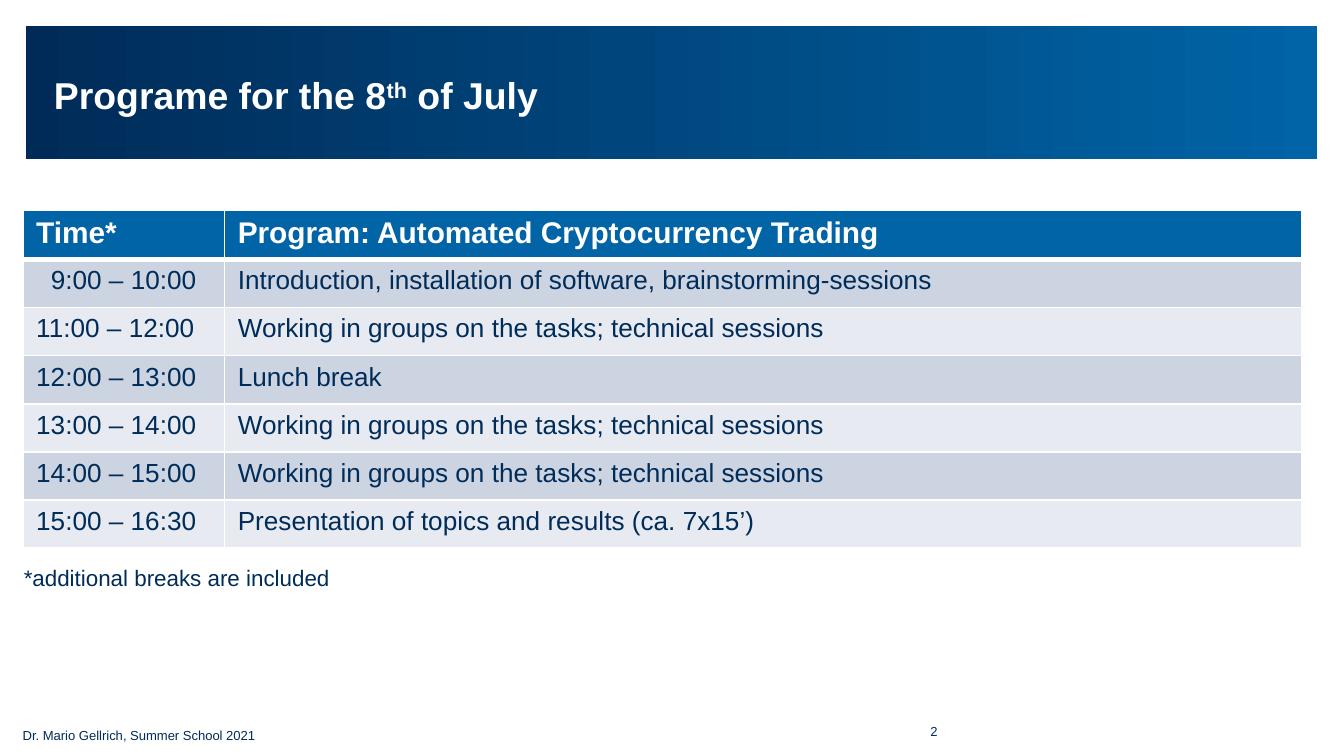
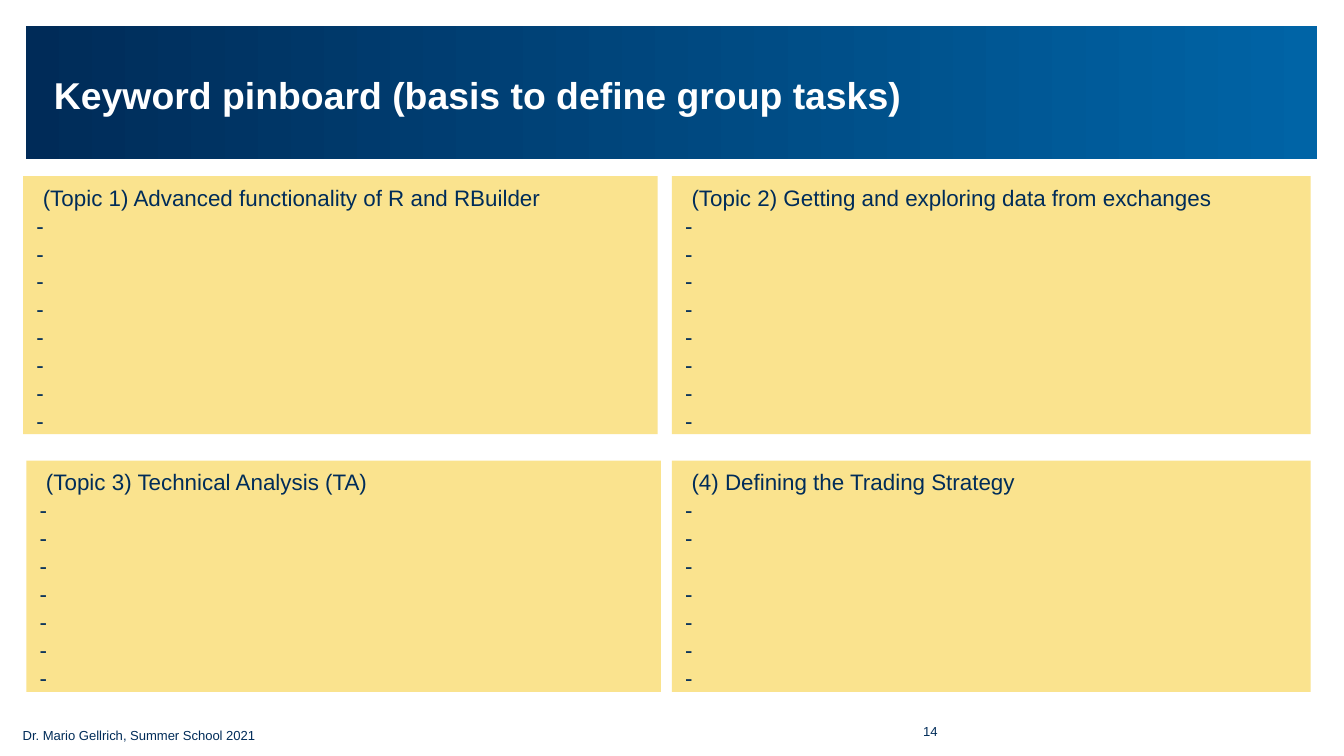
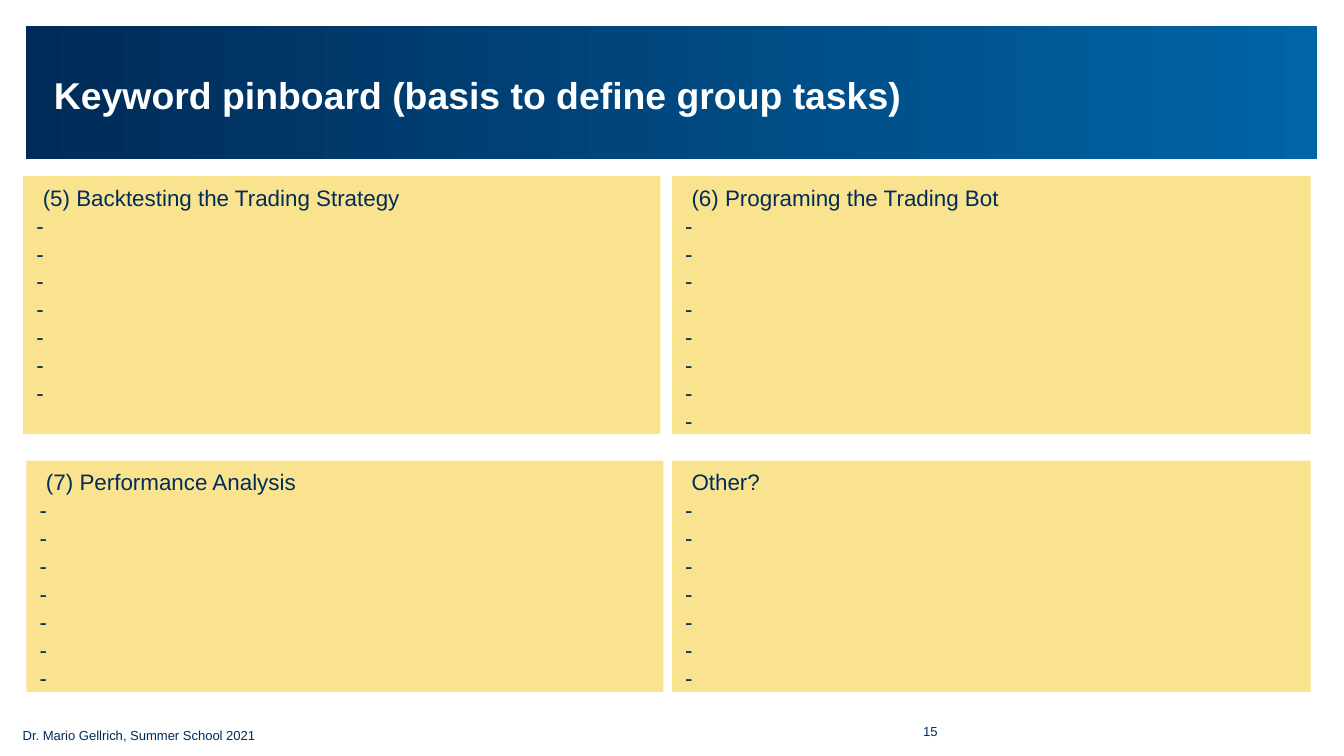
from dataclasses import dataclass

from lxml import etree
from pptx import Presentation
from pptx.dml.color import RGBColor
from pptx.enum.shapes import MSO_SHAPE as Preset
from pptx.enum.text import MSO_ANCHOR as Anchor, MSO_AUTO_SIZE as AutoSize, PP_ALIGN as Align
from pptx.oxml.ns import qn
from pptx.util import Cm, Pt


@dataclass(frozen=True)
class Theme:
    font: str = "Arial"
    white: str = "FFFFFF"
    navy: str = "002C59"
    footer: str = "012C59"
    band_start: str = "002B58"
    blue: str = "0064A6"
    row_dark: str = "CCD3E1"
    row_light: str = "E7EAF1"
    note: str = "FAE38E"
    title_size: float = 20
    head_size: float = 16
    cell_size: float = 14
    text_size: float = 12
    footer_size: float = 7


THEME = Theme()
FOOTER = "Dr. Mario Gellrich, Summer School 2021"
MARGINS = ("margin_left", "margin_top", "margin_right", "margin_bottom")
PINBOARD_TITLE = "Keyword pinboard (basis to define group tasks)"

PROGRAM = [
    ("Time*", "Program: Automated Cryptocurrency Trading"),
    ("9:00 – 10:00", "Introduction, installation of software, brainstorming-sessions"),
    ("11:00 – 12:00", "Working in groups on the tasks; technical sessions"),
    ("12:00 – 13:00", "Lunch break"),
    ("13:00 – 14:00", "Working in groups on the tasks; technical sessions"),
    ("14:00 – 15:00", "Working in groups on the tasks; technical sessions"),
    ("15:00 – 16:30", "Presentation of topics and results (ca. 7x15’)"),
]

# Page number, width of the left notes, then (heading, number of dashes) row by row
PINBOARDS = [
    (14, 11.99, [
        ("(Topic 1) Advanced functionality of R and RBuilder", 8),
        ("(Topic 2) Getting and exploring data from exchanges", 8),
        ("(Topic 3) Technical Analysis (TA)", 7),
        ("(4) Defining the Trading Strategy", 7),
    ]),
    (15, 12.04, [
        ("(5) Backtesting the Trading Strategy", 7),
        ("(6) Programing the Trading Bot", 8),
        ("(7) Performance Analysis", 7),
        ("Other?", 7),
    ]),
]


def apply(target, values):
    for name, value in values.items():
        setattr(target, name, value)


def cm_box(*lengths):
    return [Cm(length) for length in lengths]


class Deck:
    """Holds the theme, the presentation and the slide being filled."""

    def __init__(self, theme):
        self.theme = theme
        self.presentation = Presentation()
        self.slide = None
        apply(self.presentation, {"slide_width": Cm(25.4), "slide_height": Cm(14.29)})

    def styled_run(self, paragraph, text, size, color, bold=False, raised=False):
        run = paragraph.add_run()
        run.text = text
        apply(run.font, {"name": self.theme.font, "size": Pt(size), "bold": bold})
        run.font.color.rgb = RGBColor.from_string(color)
        if raised:
            run.font._element.set("baseline", "30000")

    def new_slide(self, title, page):
        """Add a slide with band, title and footer; title is a list of (text, raised)."""
        self.slide = self.presentation.slides.add_slide(self.presentation.slide_layouts[5])
        self.title(title)
        self.band()
        style = {"size": self.theme.footer_size, "color": self.theme.footer}
        self.text(str(page), (16.15, 13.67, 1.57, 0.3), align=Align.RIGHT, tight=True, **style)
        self.text(FOOTER, (0.43, 13.74, 4.88, 0.3), tight=True, **style)

    def title(self, parts):
        shape = self.slide.shapes.title
        apply(shape, dict(zip(("left", "top", "width", "height"), cm_box(1.02, 0.99, 23.57, 1.6))))
        apply(shape.text_frame, {"vertical_anchor": Anchor.MIDDLE, "auto_size": AutoSize.NONE,
                                 **dict.fromkeys(MARGINS, 0)})
        paragraph = shape.text_frame.paragraphs[0]
        paragraph.alignment = Align.LEFT
        for text, raised in parts:
            self.styled_run(paragraph, text, self.theme.title_size, self.theme.white, True, raised)

    def rectangle(self, box):
        shape = self.slide.shapes.add_shape(Preset.RECTANGLE, *cm_box(*box))
        shape.shadow.inherit = False
        shape.line.fill.background()
        return shape

    def band(self):
        """Draw the gradient band behind the title."""
        shape = self.rectangle((0.49, 0.5, 24.41, 2.5))
        shape.fill.gradient()
        shape.fill.gradient_angle = 0
        colors = (self.theme.band_start, self.theme.blue)
        for position, (stop, color) in enumerate(zip(shape.fill.gradient_stops, colors)):
            stop.color.rgb = RGBColor.from_string(color)
            stop.position = position
        self.slide.shapes.title.element.addprevious(shape.element)

    def text(self, text, box, size, color, align=Align.LEFT, tight=False):
        frame = self.slide.shapes.add_textbox(*cm_box(*box)).text_frame
        frame.word_wrap = True
        if tight:
            apply(frame, {"vertical_anchor": Anchor.MIDDLE, **dict.fromkeys(MARGINS, 0)})
        frame.paragraphs[0].alignment = align
        self.styled_run(frame.paragraphs[0], text, size, color)

    def note(self, heading, dashes, box):
        """Pin a yellow note with a heading and dashes to fill in."""
        shape = self.rectangle(box)
        shape.fill.solid()
        shape.fill.fore_color.rgb = RGBColor.from_string(self.theme.note)
        frame = shape.text_frame
        apply(frame, {"vertical_anchor": Anchor.TOP, "word_wrap": True})
        for index, text in enumerate([heading] + ["-"] * dashes):
            paragraph = frame.paragraphs[0] if index == 0 else frame.add_paragraph()
            apply(paragraph, {"alignment": Align.LEFT, "line_spacing": 1.04})
            self.styled_run(paragraph, text, self.theme.text_size, self.theme.navy)
        frame.paragraphs[0]._p.get_or_add_pPr().set("marL", str(Cm(0.12)))

    def cell_borders(self, cell, widths):
        """Set white borders; widths maps lnL, lnR, lnT and lnB to points."""
        properties = cell._tc.get_or_add_tcPr()
        for index, (side, width) in enumerate(widths.items()):
            line = etree.Element(qn(f"a:{side}"), w=str(Pt(width)))
            fill = etree.SubElement(line, qn("a:solidFill"))
            etree.SubElement(fill, qn("a:srgbClr"), val=self.theme.white)
            properties.insert(index, line)

    def table(self, rows, box, column_widths):
        theme = self.theme
        table = self.slide.shapes.add_table(len(rows), len(column_widths), *cm_box(*box)).table
        for column, width in zip(table.columns, column_widths):
            column.width = Cm(width)
        for r, texts in enumerate(rows):
            header = r == 0
            fill = theme.blue if header else (theme.row_light, theme.row_dark)[r % 2]
            size, color = (theme.head_size, theme.white) if header else (theme.cell_size, theme.navy)
            for c, text in enumerate(texts):
                cell = table.cell(r, c)
                cell.fill.solid()
                cell.fill.fore_color.rgb = RGBColor.from_string(fill)
                self.styled_run(cell.text_frame.paragraphs[0], text, size, color, header)
                self.cell_borders(cell, {"lnL": 1, "lnR": 1, "lnT": 3 if r == 1 else 1,
                                         "lnB": 3 if header else 1})
        return table


def add_program(deck):
    deck.new_slide([("Programe for the 8", False), ("th", True), (" of July", False)], 2)
    table = deck.table(PROGRAM, (0.43, 3.97, 24.18, 6.37), (3.81, 20.37))
    table.cell(1, 0).margin_left = Cm(0.53)
    deck.text("*additional breaks are included", (0.2, 10.54, 7.42, 0.76),
              THEME.text_size, THEME.navy)


def add_pinboard(deck, page, left_width, notes):
    deck.new_slide([(PINBOARD_TITLE, False)], page)
    rows = [(0.44, 3.33, 4.88), (0.5, 8.71, 4.37)]
    for index, (heading, dashes) in enumerate(notes):
        row, column = divmod(index, 2)
        left, top, height = rows[row]
        left, width = (12.7, 12.07) if column else (left, left_width)
        deck.note(heading, dashes, (left, top, width, height))


def main():
    deck = Deck(THEME)
    add_program(deck)
    for pinboard in PINBOARDS:
        add_pinboard(deck, *pinboard)
    deck.presentation.save("out.pptx")


if __name__ == "__main__":
    main()
